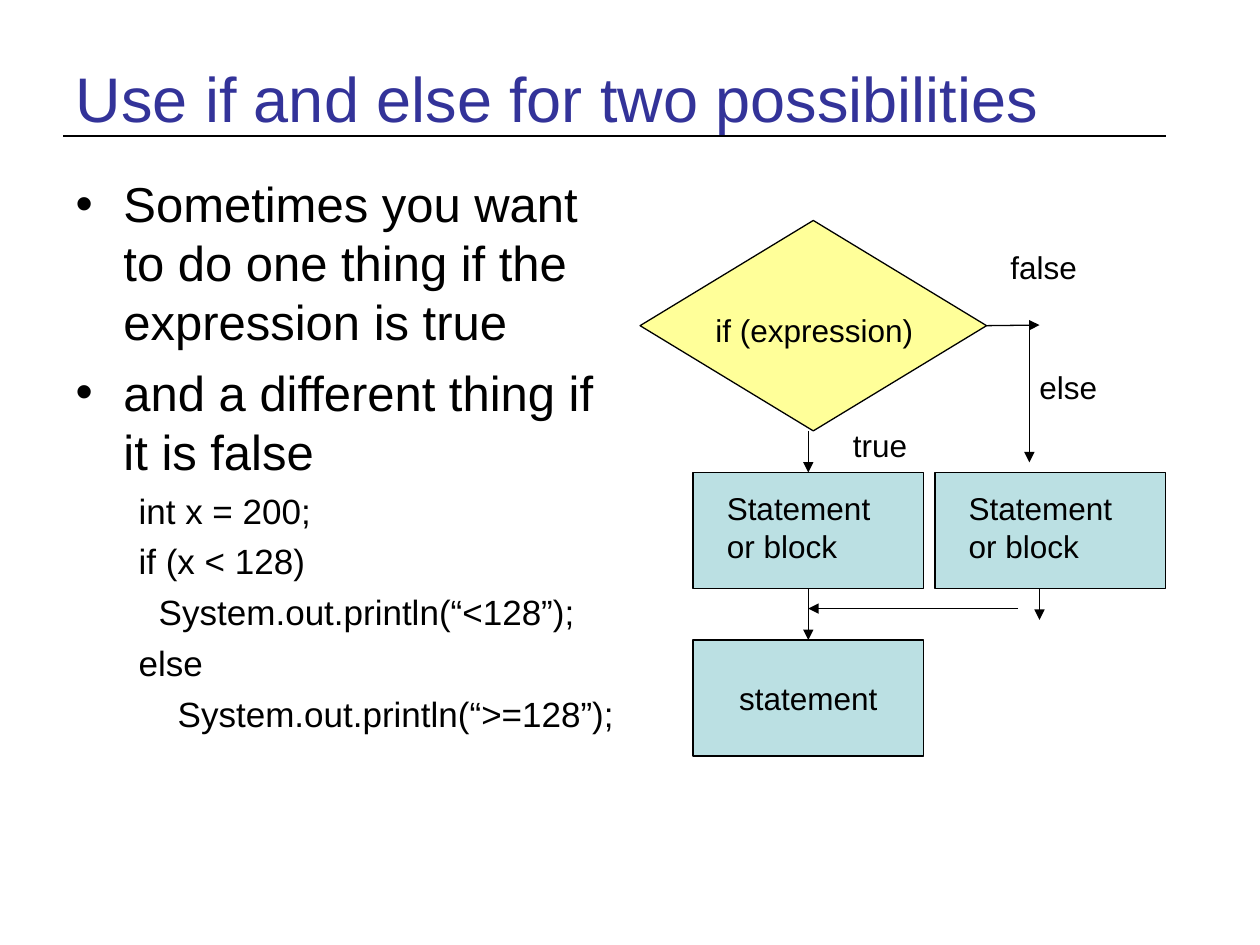
from lxml import etree
from pptx import Presentation
from pptx import util as u
from pptx.dml.color import RGBColor
from pptx.enum import shapes, text
from pptx.oxml.ns import qn

TITLE = "Use if and else for two possibilities"
BULLETS = [
    "Sometimes you want to do one thing if the expression is true",
    "and a different thing if it is false",
]
CODE = [
    ("int x = 200;", 0.5),
    ("if (x < 128)", 0.5),
    ("System.out.println(“<128”);", 0.66),
    ("else", 0.5),
    ("System.out.println(“>=128”);", 0.81),
]
BLACK, YELLOW, TEAL = "000000", "FFFF99", "BBE0E3"
BOX_SIZE = (1.83, 0.92)
LEFT, RIGHT, TOP, BOTTOM = 5.5, 7.42, 3.75, 5.08
CENTER = LEFT + BOX_SIZE[0] / 2
NODES = {
    "test": ("DIAMOND", (5.08, 1.75, 2.75, 1.67), YELLOW),
    "true": ("RECTANGLE", (LEFT, TOP, *BOX_SIZE), TEAL),
    "false": ("RECTANGLE", (RIGHT, TOP, *BOX_SIZE), TEAL),
    "next": ("RECTANGLE", (LEFT, BOTTOM, *BOX_SIZE), TEAL),
}
ARROWS = [
    ((CENTER, 4.67), (CENTER, 5.08), ("true", 2), ("next", 0)),
    ((CENTER, 3.42), (CENTER, 3.75), None, ("true", 0)),
    ((7.83, 2.58), (8.25, 2.58), ("test", 3), None),
    ((8.17, 2.58), (8.17, 3.67), None, None),
    ((8.25, 4.67), (8.25, 4.92), None, None),
    ((8.08, 4.83), (CENTER, 4.83), None, None),
]
LABELS = [
    ("if (expression)", (5.58, 2.42, 1.92, 0.4)),
    ("true", (6.67, 3.33, 0.75, 0.4)),
    ("false", (7.92, 1.92, 0.75, 0.4)),
    ("else", (8.15, 2.87, 0.75, 0.4)),
    ("Statement or block", (LEFT + 0.17, TOP + 0.08, 1.5, 0.7)),
    ("Statement or block", (RIGHT + 0.17, TOP + 0.08, 1.5, 0.7)),
]


def inches(values):
    return [u.Inches(value) for value in values]


def color(value):
    return RGBColor.from_string(value)


def write(paragraph, content, size=18, fill=BLACK, align="LEFT", before=0):
    paragraph.alignment = getattr(text.PP_ALIGN, align)
    paragraph.space_before = u.Pt(before)
    run = paragraph.add_run()
    run.text = content
    run.font.name = "Arial"
    run.font.size = u.Pt(size)
    run.font.color.rgb = color(fill)


def indent(paragraph, margin, first, bullet=None):
    properties = paragraph._p.get_or_add_pPr()
    properties.set("marL", str(u.Inches(margin)))
    properties.set("indent", str(u.Inches(first)))
    if bullet:
        etree.SubElement(properties, qn("a:buChar")).set("char", bullet)
    else:
        etree.SubElement(properties, qn("a:buNone"))


def place(shape, box):
    shape.left, shape.top, shape.width, shape.height = inches(box)


def add_line(slide, start, end, width=0.75, arrow=True):
    line = slide.shapes.add_connector(
        shapes.MSO_CONNECTOR.STRAIGHT, *inches(start + end))
    line.line.color.rgb = color(BLACK)
    line.line.width = u.Pt(width)
    if arrow:
        tail = etree.SubElement(line.line._get_or_add_ln(), qn("a:tailEnd"))
        tail.set("type", "triangle")
    etree.SubElement(line._element.spPr, qn("a:effectLst"))
    return line


def add_node(slide, kind, box, fill):
    shape = slide.shapes.add_shape(
        getattr(shapes.MSO_SHAPE, kind), *inches(box))
    shape.shadow.inherit = False
    shape.fill.solid()
    shape.fill.fore_color.rgb = color(fill)
    shape.line.color.rgb = color(BLACK)
    shape.line.width = u.Pt(0.75)
    return shape


def fill_placeholders(slide):
    title, body = slide.shapes.title, slide.placeholders[1]
    place(title, (0.5, 0.3, 9, 0.95))
    title.text_frame.vertical_anchor = text.MSO_ANCHOR.MIDDLE
    write(title.text_frame.paragraphs[0], TITLE, size=36, fill="333399")

    place(body, (0.5, 1.33, 4.58, 5.37))
    frame = body.text_frame
    frame.auto_size = text.MSO_AUTO_SIZE.NONE
    for index, content in enumerate(BULLETS):
        paragraph = frame.add_paragraph() if index else frame.paragraphs[0]
        write(paragraph, content, size=28, before=7)
        indent(paragraph, 0.38, -0.38, "•")
    for content, margin in CODE:
        paragraph = frame.add_paragraph()
        paragraph.level = 1
        write(paragraph, content, size=20, before=5)
        indent(paragraph, margin, 0)


def draw_flowchart(slide):
    nodes = {name: add_node(slide, *node) for name, node in NODES.items()}
    frame = nodes["next"].text_frame
    frame.word_wrap = False
    frame.vertical_anchor = text.MSO_ANCHOR.MIDDLE
    write(frame.paragraphs[0], "statement", align="CENTER")

    for start, end, source, target in ARROWS:
        arrow = add_line(slide, start, end)
        if source:
            arrow.begin_connect(nodes[source[0]], source[1])
        if target:
            arrow.end_connect(nodes[target[0]], target[1])
    for content, box in LABELS:
        label = slide.shapes.add_textbox(*inches(box))
        label.text_frame.word_wrap = True
        write(label.text_frame.paragraphs[0], content)


def main():
    presentation = Presentation()
    presentation.slide_width, presentation.slide_height = inches((10, 7.5))
    slide = presentation.slides.add_slide(presentation.slide_layouts[1])
    add_line(slide, (0.5, 1.08), (9.25, 1.08), width=1.5, arrow=False)
    fill_placeholders(slide)
    draw_flowchart(slide)
    presentation.save("out.pptx")


if __name__ == "__main__":
    main()
